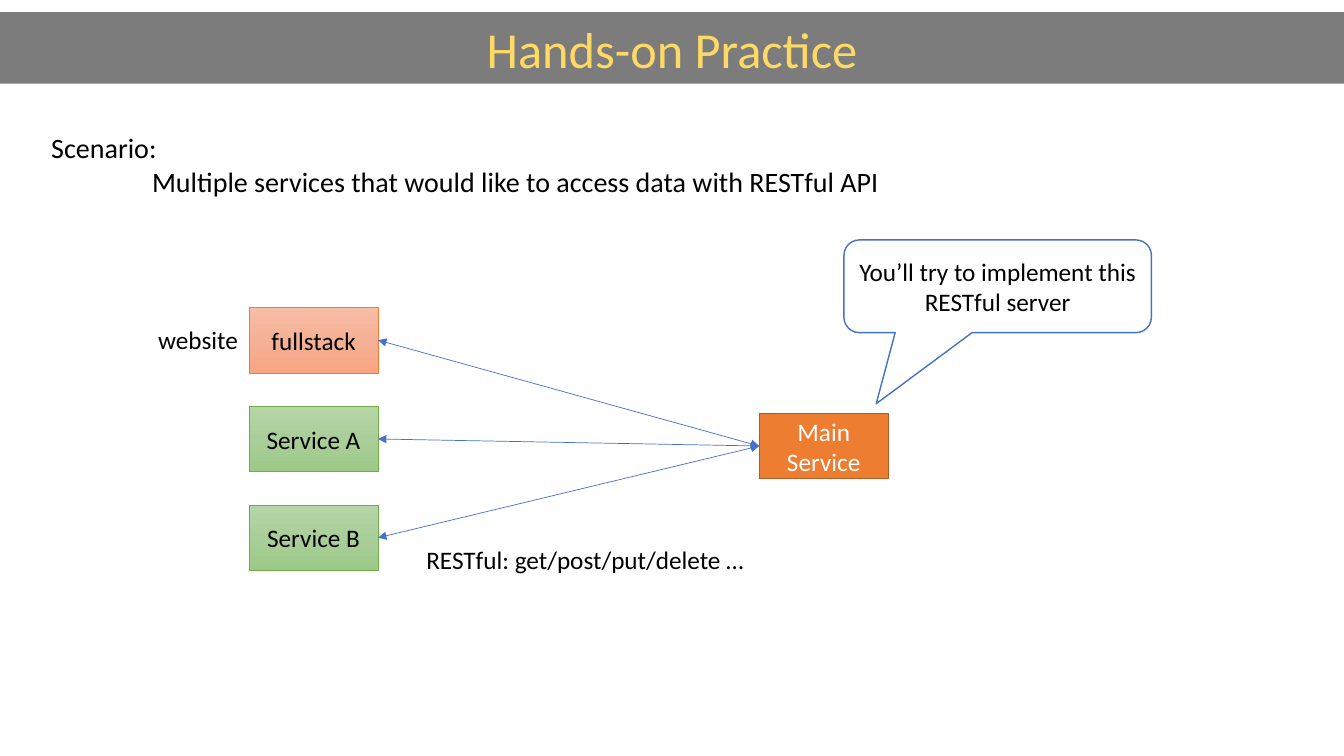
from copy import deepcopy
from dataclasses import dataclass

from pptx import Presentation
from pptx.dml.color import RGBColor
from pptx.enum import shapes, text
from pptx.oxml import ns
from pptx.oxml.xmlchemy import OxmlElement
from pptx.util import Inches, Pt

BOX_WIDTH, BOX_HEIGHT = 1.28, 0.65
CLIENT_LEFT, CLIENT_TOP, CLIENT_PITCH = 2.47, 3.05, 0.98
BLUE = "4472C4"
ORANGE_STOPS = ("F7BDA5", "F5B196", "F8A582")
GREEN_STOPS = ("B5D5A7", "AACE9A", "9CC987")


@dataclass(frozen=True)
class Box:
    label: str
    left: float
    top: float
    fills: tuple[str, ...]
    outline: str
    line_width: float = 0.5
    ink: str = "000000"
    width: float = BOX_WIDTH
    height: float = BOX_HEIGHT
    preset: shapes.MSO_SHAPE = shapes.MSO_SHAPE.RECTANGLE


@dataclass(frozen=True)
class Label:
    lines: tuple[str, ...]
    left: float
    top: float
    width: float
    height: float
    size: int = 18
    wrap: bool = False


CLIENTS = [
    Box(name, CLIENT_LEFT, CLIENT_TOP + row * CLIENT_PITCH, stops, outline)
    for row, (name, stops, outline) in enumerate([
        ("fullstack", ORANGE_STOPS, "ED7D31"),
        ("Service A", GREEN_STOPS, "70AD47"),
        ("Service B", GREEN_STOPS, "70AD47"),
    ])
]
MAIN_SERVICE = Box("Main Service", 7.53, 4.1, ("ED7D31",), "AF5C24", 1, "FFFFFF")
HINT = Box("You’ll try to implement this RESTful server", 8.37, 2.38, ("FFFFFF",), BLUE, 1,
           width=3.05, height=0.92, preset=shapes.MSO_SHAPE.ROUNDED_RECTANGULAR_CALLOUT)
SCENARIO = Label(("Scenario:", "Multiple services that would like to access data with RESTful API"),
                 0.41, 1.25, 10.84, 0.77, 20, True)
WEBSITE = Label(("website",), 1.47, 3.17, 1, 0.4)
METHODS = Label(("RESTful: get/post/put/delete …",), 4.13, 5.35, 3.4, 0.4)


def paint(target, color: str) -> None:
    target.solid()
    target.fore_color.rgb = RGBColor.from_string(color)


def format_runs(frame, size: int, color: str) -> None:
    for paragraph in frame.paragraphs:
        for run in paragraph.runs:
            run.font.name = "Calibri"
            run.font.size = Pt(size)
            paint(run.font.fill, color)


def fill_gradient(shape, colors: tuple[str, ...]) -> None:
    shape.fill.gradient()
    shape.fill.gradient_angle = 270
    stop_list = shape._element.spPr.find(ns.qn("a:gradFill")).find(ns.qn("a:gsLst"))
    stop_list.append(deepcopy(stop_list[-1]))
    for index, (stop, color) in enumerate(zip(shape.fill.gradient_stops, colors)):
        stop.position = index / (len(colors) - 1)
        stop.color.rgb = RGBColor.from_string(color)


def add_title(slide, wording: str) -> None:
    title = slide.shapes.title
    title.left, title.top = Inches(0), Inches(0.12)
    title.width, title.height = Inches(13.33), Inches(0.71)
    paint(title.fill, "7C7C7C")
    frame = title.text_frame
    frame.text = wording
    frame.auto_size = text.MSO_AUTO_SIZE.NONE
    frame.vertical_anchor = text.MSO_ANCHOR.MIDDLE
    frame.paragraphs[0].alignment = text.PP_ALIGN.CENTER
    format_runs(frame, 36, "FFD966")


def add_box(slide, box: Box):
    shape = slide.shapes.add_shape(box.preset, Inches(box.left), Inches(box.top),
                                   Inches(box.width), Inches(box.height))
    shape.shadow.inherit = False
    if len(box.fills) > 1:
        fill_gradient(shape, box.fills)
    else:
        paint(shape.fill, box.fills[0])
    paint(shape.line.fill, box.outline)
    shape.line.width = Pt(box.line_width)
    frame = shape.text_frame
    frame.text = box.label
    frame.word_wrap = True
    frame.vertical_anchor = text.MSO_ANCHOR.MIDDLE
    frame.paragraphs[0].alignment = text.PP_ALIGN.CENTER
    format_runs(frame, 18, box.ink)
    return shape


def add_label(slide, label: Label):
    caption = slide.shapes.add_textbox(Inches(label.left), Inches(label.top),
                                       Inches(label.width), Inches(label.height))
    frame = caption.text_frame
    frame.text = "\n".join(label.lines)
    frame.word_wrap = label.wrap
    format_runs(frame, label.size, "000000")
    return caption


def add_link(slide, client, server) -> None:
    link = slide.shapes.add_connector(shapes.MSO_CONNECTOR.STRAIGHT, 0, 0, 0, 0)
    link.begin_connect(client, 3)
    link.end_connect(server, 1)
    paint(link.line.fill, BLUE)
    link.line.width = Pt(0.5)
    outline = link.line._get_or_add_ln()
    for tag in ("a:headEnd", "a:tailEnd"):
        arrowhead = OxmlElement(tag)
        arrowhead.set("type", "triangle")
        outline.append(arrowhead)
    link._element.spPr.append(OxmlElement("a:effectLst"))


def main() -> None:
    deck = Presentation()
    deck.slide_width, deck.slide_height = Inches(13.33), Inches(7.5)
    slide = deck.slides.add_slide(deck.slide_layouts[5])

    add_title(slide, "Hands-on Practice")
    scenario = add_label(slide, SCENARIO)
    scenario.text_frame.paragraphs[1]._p.get_or_add_pPr().set("marL", str(Inches(1)))

    clients = [add_box(slide, client) for client in CLIENTS]
    main_service = add_box(slide, MAIN_SERVICE)
    add_label(slide, WEBSITE)
    for client in clients:
        add_link(slide, client, main_service)

    hint = add_box(slide, HINT)
    for index, value in enumerate((-0.395, 1.267, 0.167)):
        hint.adjustments[index] = value
    add_label(slide, METHODS)

    deck.save("out.pptx")


if __name__ == "__main__":
    main()
